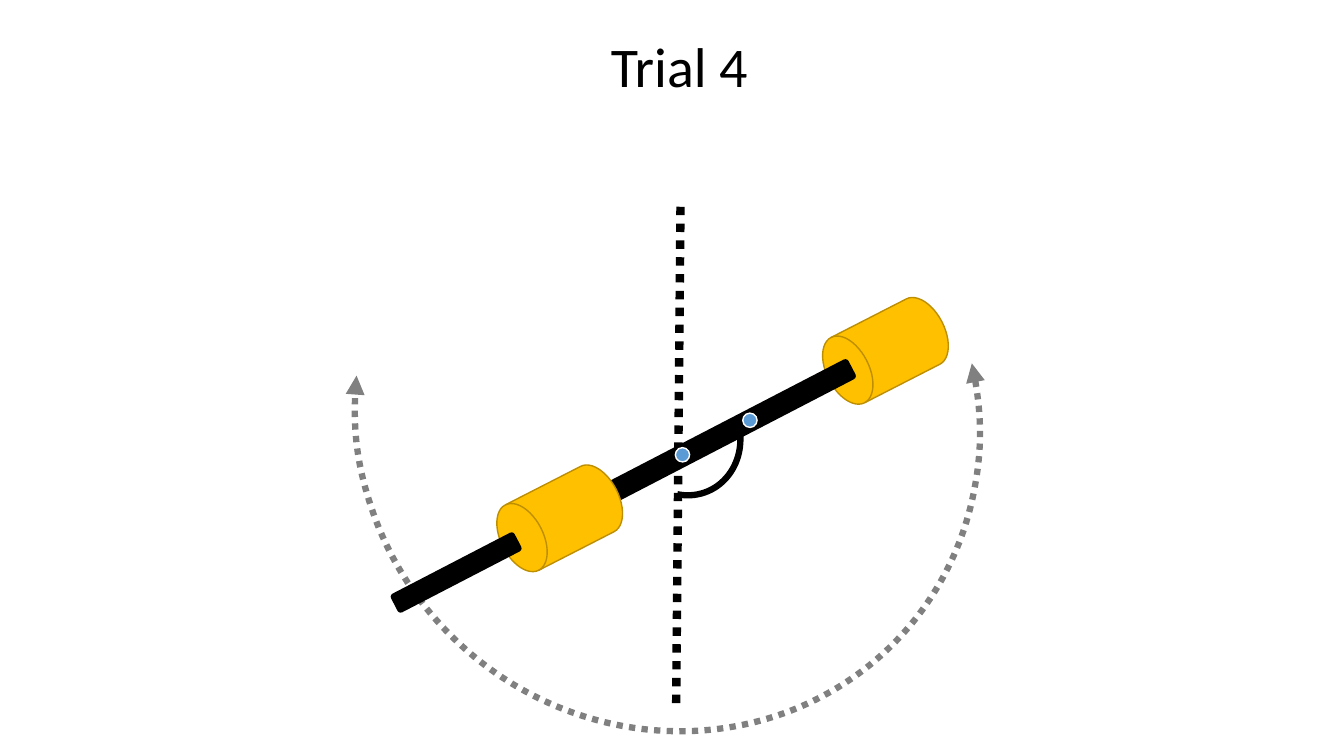
import pptx
import pptx.util
import pptx.dml.color
import pptx.enum.dml
import pptx.enum.shapes
import pptx.enum.text
from lxml import etree
from pptx.oxml.ns import qn

Cm, Pt = pptx.util.Cm, pptx.util.Pt
MSO = pptx.enum.shapes.MSO_SHAPE
COLORS = {
    "black": "000000",
    "grey": "808080",
    "gold": "FFC000",
    "gold_edge": "BD8E00",
    "blue": "5B9BD5",
    "white": "FFFFFF",
}


def rgb(name):
    return pptx.dml.color.RGBColor.from_string(COLORS[name])


def style_line(line, color, width, dotted=False):
    line.color.rgb = rgb(color)
    line.width = Pt(width)
    if dotted:
        line.dash_style = pptx.enum.dml.MSO_LINE.ROUND_DOT


def add_title(s, text, x, y, w, h):
    sp = s.shapes.title
    sp.left, sp.top, sp.width, sp.height = Cm(x), Cm(y), Cm(w), Cm(h)
    tf = sp.text_frame
    tf.auto_size = pptx.enum.text.MSO_AUTO_SIZE.NONE
    tf.word_wrap = False
    tf.vertical_anchor = pptx.enum.text.MSO_ANCHOR.MIDDLE
    p = tf.paragraphs[0]
    p.alignment = pptx.enum.text.PP_ALIGN.CENTER
    r = p.add_run()
    r.text = text
    r.font.name = "Calibri"
    r.font.size = Pt(40)
    r.font.color.rgb = rgb("black")


def add_solid(shapes, kind, x, y, w, h, rotation, fill, edge=None):
    sp = shapes.add_shape(kind, Cm(x), Cm(y), Cm(w), Cm(h))
    sp.rotation = rotation
    sp.shadow.inherit = False
    sp.fill.solid()
    sp.fill.fore_color.rgb = rgb(fill)
    if edge:
        style_line(sp.line, edge, 1)
    else:
        sp.line.fill.background()


def add_arc(shapes, x, y, w, h, rotation, start, end, color, arrows=False):
    sp = shapes.add_shape(MSO.ARC, Cm(x), Cm(y), Cm(w), Cm(h))
    sp.rotation = rotation
    # Arc angles are stored in 60000ths of a degree, adjustments in 100000ths
    sp.adjustments[0] = start * 0.6
    sp.adjustments[1] = end * 0.6
    sp.shadow.inherit = False
    sp.fill.background()
    style_line(sp.line, color, 4.5, dotted=arrows)
    if arrows:
        ln = sp.line._get_or_add_ln()
        for tag in ("a:headEnd", "a:tailEnd"):
            etree.SubElement(ln, qn(tag), type="triangle")


def add_axis(shapes, x1, y1, x2, y2):
    cx = shapes.add_connector(pptx.enum.shapes.MSO_CONNECTOR.STRAIGHT,
                              Cm(x1), Cm(y1), Cm(x2), Cm(y2))
    style_line(cx.line, "black", 6, dotted=True)
    etree.SubElement(cx._element.spPr, qn("a:effectLst"))


def main():
    prs = pptx.Presentation()
    prs.slide_width, prs.slide_height = Cm(33.87), Cm(19.05)
    s = prs.slides.add_slide(prs.slide_layouts[5])
    add_title(s, "Trial 4", 15.09, 0.66, 4.06, 1.96)

    # Swing range and vertical reference
    add_arc(s.shapes, 9.12, 2.57, 15.39, 16.03, 132.3, 217.16, 55.83,
            "grey", arrows=True)
    add_axis(s.shapes, 17.15, 5.21, 17.04, 17.75)

    # Pendulum: each weight lies under the rod in front of it
    pendulum = s.shapes.add_group_shape().shapes
    weights = [(21.39, 7.24), (13.18, 11.46)]
    rods = [(17.45, 6.99, 0.56, 8.43), (11.23, 12.67, 0.53, 3.51)]
    for (x, y), rod in zip(weights, rods):
        add_solid(pendulum, MSO.FLOWCHART_MAGNETIC_DISK, x, y, 1.85, 3.2,
                  242.9, "gold", "gold_edge")
        add_solid(pendulum, MSO.ROUNDED_RECTANGLE, *rod, 242.6, "black")

    # Pivot points
    for x, y in [(18.72, 10.41), (17.02, 11.28)]:
        add_solid(pendulum, MSO.OVAL, x, y, 0.36, 0.36, 268.6, "blue", "white")

    # Angle between rod and vertical
    add_arc(s.shapes, 15.75, 9.6, 3.02, 2.77, 70.7, 278.29, 26.71, "black")
    prs.save("out.pptx")


if __name__ == "__main__":
    main()
